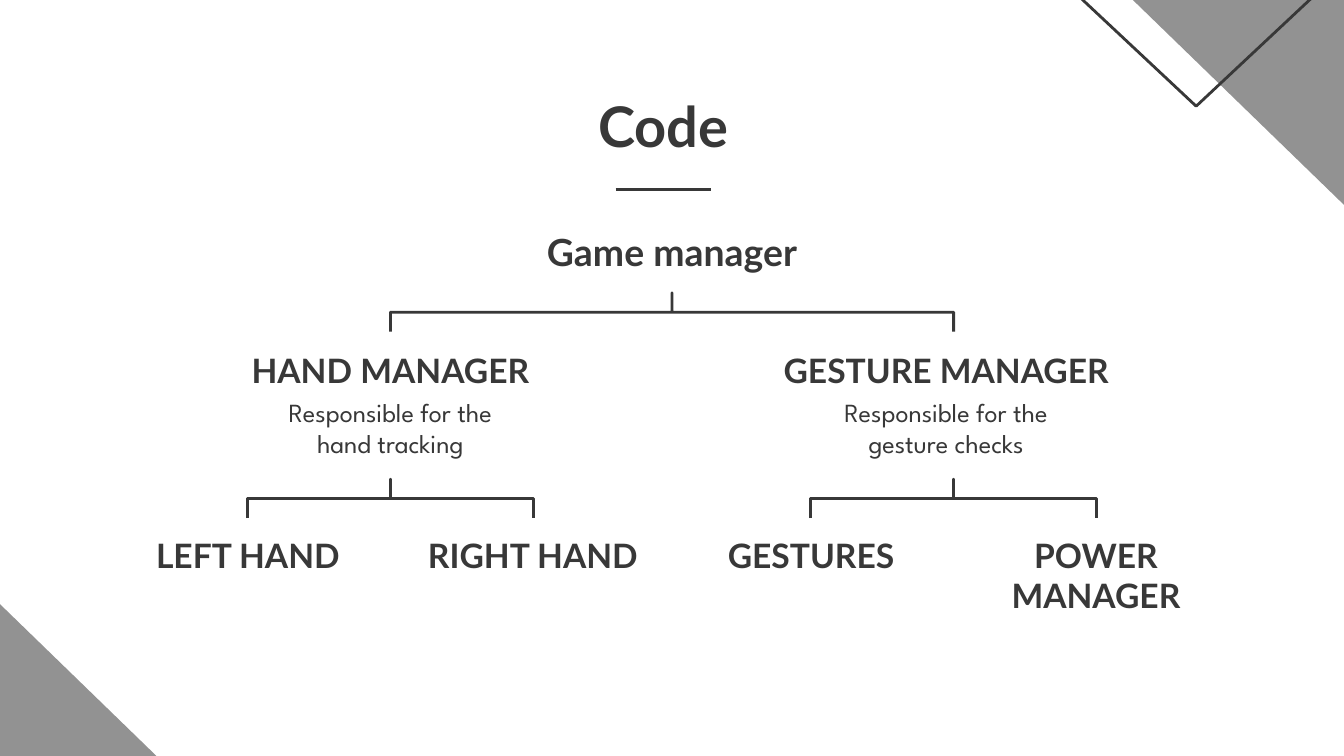
from collections import namedtuple

from lxml import etree
from pptx import Presentation
from pptx.dml.color import RGBColor
from pptx.enum.shapes import MSO_CONNECTOR, MSO_SHAPE
from pptx.enum.text import MSO_ANCHOR, MSO_AUTO_SIZE, PP_ALIGN
from pptx.oxml.ns import qn
from pptx.util import Inches, Pt

INK = RGBColor(0x38, 0x38, 0x38)
GREY = RGBColor(0x92, 0x92, 0x92)
HEADING_FONT, NOTE_FONT = "Lato", "League Spartan"
CENTER, TOP = PP_ALIGN.CENTER, MSO_ANCHOR.TOP
NO_FIT = MSO_AUTO_SIZE.NONE
RIGHT_TRIANGLE, TRIANGLE = MSO_SHAPE.RIGHT_TRIANGLE, MSO_SHAPE.ISOSCELES_TRIANGLE
BRACE, STRAIGHT = MSO_SHAPE.RIGHT_BRACE, MSO_CONNECTOR.STRAIGHT

# 16:9 slide on a grid of 100 columns by 56.25 rows
WIDTH = Inches(10)
HEIGHT = WIDTH * 9 // 16
COL, ROW = WIDTH / 100, HEIGHT / 56.25
STROKE = Pt(1.5)
BRACE_ROWS = 2.9

Box = namedtuple("Box", "x y w h")


def place(box):
    """Turn a box in columns and rows into slide lengths."""
    return (round(box.x * COL), round(box.y * ROW),
            round(box.w * COL), round(box.h * ROW))


def write(slide, box, text, size=18, font=HEADING_FONT, bold=True, holder=None):
    """Write centred text in a new text box or in a given placeholder."""
    if holder is None:
        holder = slide.shapes.add_textbox(*place(box))
    else:
        holder.left, holder.top, holder.width, holder.height = place(box)
    frame = holder.text_frame
    frame.word_wrap = True
    frame.auto_size = NO_FIT
    frame.vertical_anchor = TOP
    frame.margin_left = frame.margin_right = Inches(0.1)
    frame.margin_top = frame.margin_bottom = Inches(0.1)
    paragraph = frame.paragraphs[0]
    paragraph.alignment = CENTER
    run = paragraph.add_run()
    run.text = text
    run.font.name, run.font.size, run.font.bold = font, Pt(size), bold
    run.font.color.rgb = INK


def add_figure(slide, kind, box, rotation=0, fill=None):
    """Add a preset shape, either filled or outlined."""
    figure = slide.shapes.add_shape(kind, *place(box))
    figure.shadow.inherit = False
    figure.rotation = rotation
    if fill is None:
        figure.fill.background()
        figure.line.color.rgb = INK
        figure.line.width = STROKE
    else:
        figure.fill.solid()
        figure.fill.fore_color.rgb = fill
        figure.line.fill.background()
    return figure


def add_fork(slide, center, top, span):
    """Square bracket pointing up: a brace turned a quarter left."""
    middle = top + BRACE_ROWS / 2
    box = Box(center - BRACE_ROWS / 2, middle - span / 2, BRACE_ROWS, span)
    fork = add_figure(slide, BRACE, box, rotation=270)
    fork.adjustments[0], fork.adjustments[1] = 0, 0.5


def add_corners(slide):
    """Corner triangles that bleed over the slide edges."""
    add_figure(slide, RIGHT_TRIANGLE, Box(-18.4, 27.1, 37.2, 36.1), fill=GREY)
    add_figure(slide, RIGHT_TRIANGLE, Box(71, -12.9, 37.2, 36.1), 180, GREY)
    add_figure(slide, TRIANGLE, Box(59.65, -19.6, 58.7, 27.5), 180)


def add_header(slide, box):
    """Slide title with a short rule under it."""
    write(slide, box, "Code", size=30, holder=slide.shapes.title)
    center, y = box.x + box.w / 2, box.y + 8.3
    rule = slide.shapes.add_connector(
        STRAIGHT, round((center - 3.55) * COL), round(y * ROW),
        round((center + 3.55) * COL), round(y * ROW))
    rule.line.color.rgb = INK
    rule.line.width = STROKE
    etree.SubElement(rule._element.spPr, qn("a:effectLst"))


def add_root(slide, box):
    """Top node and the fork to its two branches."""
    write(slide, box, "Game manager", size=20)
    add_fork(slide, box.x + box.w / 2, box.y + 5.75, 41.9)


def add_branch(slide, box, heading, note, leaves, text_shift=0):
    """Manager heading, note, fork and two leaves inside the box."""
    center = box.x + box.w / 2
    text_center = center + text_shift
    leaf_width, leaf_gap = 19.4, 21.2
    write(slide, Box(text_center - 17.45, box.y, 34.9, 4.5), heading)
    write(slide, Box(text_center - leaf_width / 2, box.y + 3.5, leaf_width, 5.8),
          note, size=14, font=NOTE_FONT, bold=False)
    add_fork(slide, center, box.y + 10.65, 21.3)
    for side, leaf in zip((-0.5, 0.5), leaves):
        left = center + side * leaf_gap - leaf_width / 2
        write(slide, Box(left, box.y + box.h - 4.5, leaf_width, 4.5), leaf)


def main():
    deck = Presentation()
    deck.slide_width, deck.slide_height = WIDTH, HEIGHT
    slide = deck.slides.add_slide(deck.slide_layouts[5])

    add_corners(slide)
    add_header(slide, Box(7.2, 5.8, 84.3, 5.8))
    add_root(slide, Box(31.95, 16.03, 36.1, 5.8))
    add_branch(slide, Box(8.75, 25, 40.6, 18.3), "HAND MANAGER",
               "Responsible for the hand tracking", ("LEFT HAND", "RIGHT HAND"))
    add_branch(slide, Box(50.65, 25, 40.6, 18.3), "GESTURE MANAGER",
               "Responsible for the gesture checks", ("GESTURES", "POWER MANAGER"),
               text_shift=-0.55)

    deck.save("out.pptx")


if __name__ == "__main__":
    main()
